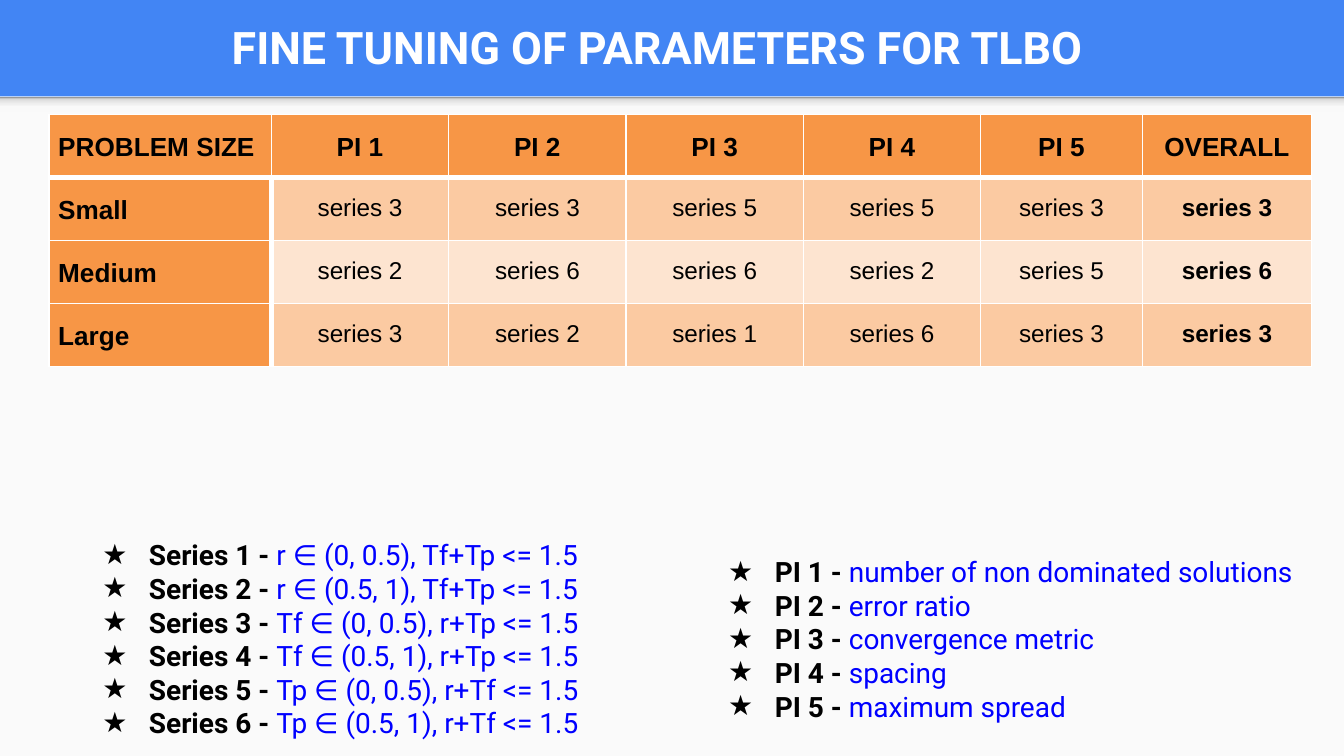
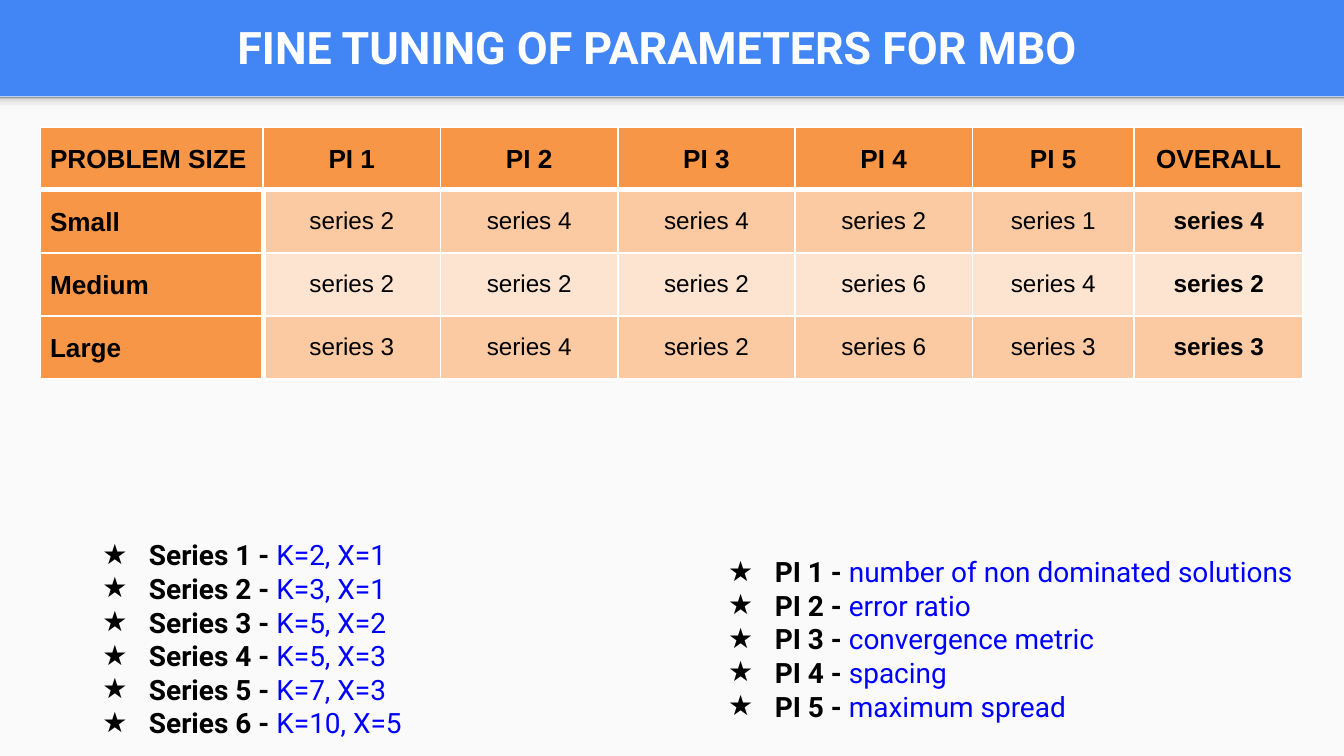
from lxml import etree
from pptx import Presentation
from pptx.dml.color import RGBColor
from pptx.enum.shapes import MSO_SHAPE as SHAPE
from pptx.enum.text import MSO_ANCHOR as ANCHOR, MSO_AUTO_SIZE as AUTO, PP_ALIGN as ALIGN
from pptx.oxml import parse_xml
from pptx.oxml.ns import nsdecls, qn
from pptx.util import Pt

# Content
HEADER = ["PROBLEM SIZE", "PI 1", "PI 2", "PI 3", "PI 4", "PI 5", "OVERALL"]
SIZES = ["Small", "Medium", "Large"]
INDICATORS = ["number of non dominated solutions", "error ratio",
              "convergence metric", "spacing", "maximum spread"]
SLIDES = [
    {
        "title": "FINE TUNING OF PARAMETERS FOR TLBO",
        "table_at": (26.2, 61.4),
        "best": [(3, 3, 5, 5, 3, 3), (2, 6, 6, 2, 5, 6), (3, 2, 1, 6, 3, 3)],
        "series": ["r ∈ (0, 0.5), Tf+Tp <= 1.5", "r ∈ (0.5, 1), Tf+Tp <= 1.5",
                   "Tf ∈ (0, 0.5), r+Tp <= 1.5", "Tf ∈ (0.5, 1), r+Tp <= 1.5",
                   "Tp ∈ (0, 0.5), r+Tf <= 1.5", "Tp ∈ (0.5, 1), r+Tf <= 1.5"],
    },
    {
        "title": "FINE TUNING OF PARAMETERS FOR MBO",
        "table_at": (21.8, 68),
        "best": [(2, 4, 4, 2, 1, 4), (2, 2, 2, 6, 4, 2), (3, 4, 2, 6, 3, 3)],
        "series": ["K=2, X=1", "K=3, X=1", "K=5, X=2",
                   "K=5, X=3", "K=7, X=3", "K=10, X=5"],
    },
]

# Shared style
WIDTH, HEIGHT, BAND = 720, 405, 51.7
BLUE, PANEL, WHITE, BLACK, VALUE = "4285F4", "FAFAFA", "FFFFFF", "000000", "0000FF"
ORANGE, DARK_ROW, LIGHT_ROW = "F79646", "FBCAA2", "FDE4D0"
SHADOW = [(0, "F9F9F9"), (36, "F9F9F9"), (80, "DEDEDE"), (100, "999999")]
COLUMNS = [119.2, 95, 95, 95, 95, 86.6, 90.6]
ROW = 32
THIN, THICK = 1, 3


def color(value):
    return RGBColor.from_string(value)


def set_font(font, name, size, ink=None, bold=None):
    font.name, font.size, font.bold = name, Pt(size), bold
    if ink:
        font.color.rgb = color(ink)


def add_rect(s, top, height, fill):
    sp = s.shapes.add_shape(SHAPE.RECTANGLE, 0, Pt(top), Pt(WIDTH), Pt(height))
    sp.shadow.inherit = False
    sp.line.fill.background()
    sp.fill.solid()
    sp.fill.fore_color.rgb = color(fill)
    return sp


def add_box(s, left, top, width, height):
    tf = s.shapes.add_textbox(Pt(left), Pt(top), Pt(width), Pt(height)).text_frame
    tf.word_wrap = True
    tf.margin_left = tf.margin_right = tf.margin_top = tf.margin_bottom = Pt(7.2)
    return tf


def add_frame(s, title):
    # Panel below the blue band, with a soft shadow along its top edge
    add_rect(s, BAND, HEIGHT - BAND, PANEL)
    sp = add_rect(s, BAND, 8.6, PANEL)
    stops = "".join(f'<a:gs pos="{pos * 1000}"><a:srgbClr val="{ink}"/></a:gs>'
                    for pos, ink in SHADOW)
    solid = sp._element.spPr.find(qn("a:solidFill"))
    solid.getparent().replace(solid, parse_xml(
        f'<a:gradFill {nsdecls("a")}><a:gsLst>{stops}</a:gsLst>'
        '<a:lin ang="16200000" scaled="0"/></a:gradFill>'))

    # Title
    tf = add_box(s, 5, 1.4, 694, 47.5)
    tf.vertical_anchor = ANCHOR.MIDDLE
    p = tf.paragraphs[0]
    p.text, p.alignment = title, ALIGN.CENTER
    set_font(p.font, "Roboto", 24, WHITE, True)


def set_borders(cell, row, col):
    body = row > 0
    widths = {
        "L": THICK if body and col == 1 else THIN,
        "R": THICK if body and col == 0 else THIN,
        "T": THICK if row == 1 else THIN,
        "B": THICK if row == 0 else THIN,
    }
    tc_pr = cell._tc.get_or_add_tcPr()
    for side, width in widths.items():
        ln = etree.SubElement(tc_pr, qn(f"a:ln{side}"), w=str(Pt(width)))
        fill = etree.SubElement(ln, qn("a:solidFill"))
        etree.SubElement(fill, qn("a:srgbClr"), val=WHITE)


def add_results(s, left, top, best):
    rows = [HEADER] + [[size] + [f"series {n}" for n in picks]
                       for size, picks in zip(SIZES, best)]
    table = s.shapes.add_table(len(rows), len(HEADER), Pt(left), Pt(top),
                               Pt(sum(COLUMNS)), Pt(ROW * len(rows))).table
    table.first_row = table.horz_banding = False
    for column, width in zip(table.columns, COLUMNS):
        column.width = Pt(width)
    for i, texts in enumerate(rows):
        table.rows[i].height = Pt(ROW)
        for j, text in enumerate(texts):
            cell = table.cell(i, j)
            heading = i == 0 or j == 0
            set_borders(cell, i, j)
            cell.fill.solid()
            cell.fill.fore_color.rgb = color(
                ORANGE if heading else DARK_ROW if i % 2 else LIGHT_ROW)
            cell.margin_left = cell.margin_right = Pt(5)
            cell.margin_top = cell.margin_bottom = Pt(7.2)
            p = cell.text_frame.paragraphs[0]
            p.text, p.line_spacing = text, 1.15
            p.alignment = ALIGN.CENTER if j else ALIGN.LEFT
            set_font(p.font, "Arial", 14 if heading else 13, BLACK,
                     heading or j == len(HEADER) - 1)


def add_legend(s, left, top, width, height, label, meanings):
    tf = add_box(s, left, top, width, height)
    tf.auto_size = AUTO.SHAPE_TO_FIT_TEXT
    for i, meaning in enumerate(meanings):
        p = tf.paragraphs[0] if i == 0 else tf.add_paragraph()
        p_pr = p._p.get_or_add_pPr()
        p_pr.set("marL", str(Pt(108)))
        p_pr.set("indent", str(Pt(-25)))
        bullet_color = etree.SubElement(p_pr, qn("a:buClr"))
        etree.SubElement(bullet_color, qn("a:srgbClr"), val=BLACK)
        etree.SubElement(p_pr, qn("a:buFont"), typeface="Roboto")
        etree.SubElement(p_pr, qn("a:buChar"), char="★")
        set_font(p.font, "Roboto", 15)
        for text, ink, bold in ((f"{label} {i + 1} - ", BLACK, True),
                                (meaning, VALUE, False)):
            r = p.add_run()
            r.text, r.font.bold = text, bold
            r.font.color.rgb = color(ink)


def main():
    prs = Presentation()
    prs.slide_width, prs.slide_height = Pt(WIDTH), Pt(HEIGHT)
    background = prs.slide_master.background.fill
    background.solid()
    background.fore_color.rgb = color(BLUE)
    for content in SLIDES:
        s = prs.slides.add_slide(prs.slide_layouts[6])
        add_frame(s, content["title"])
        add_results(s, *content["table_at"], content["best"])
        add_legend(s, -35.3, 281, 373, 123.8, "Series", content["series"])
        add_legend(s, 300, 290, 402.5, 105, "PI", INDICATORS)
    prs.save("out.pptx")


if __name__ == "__main__":
    main()
